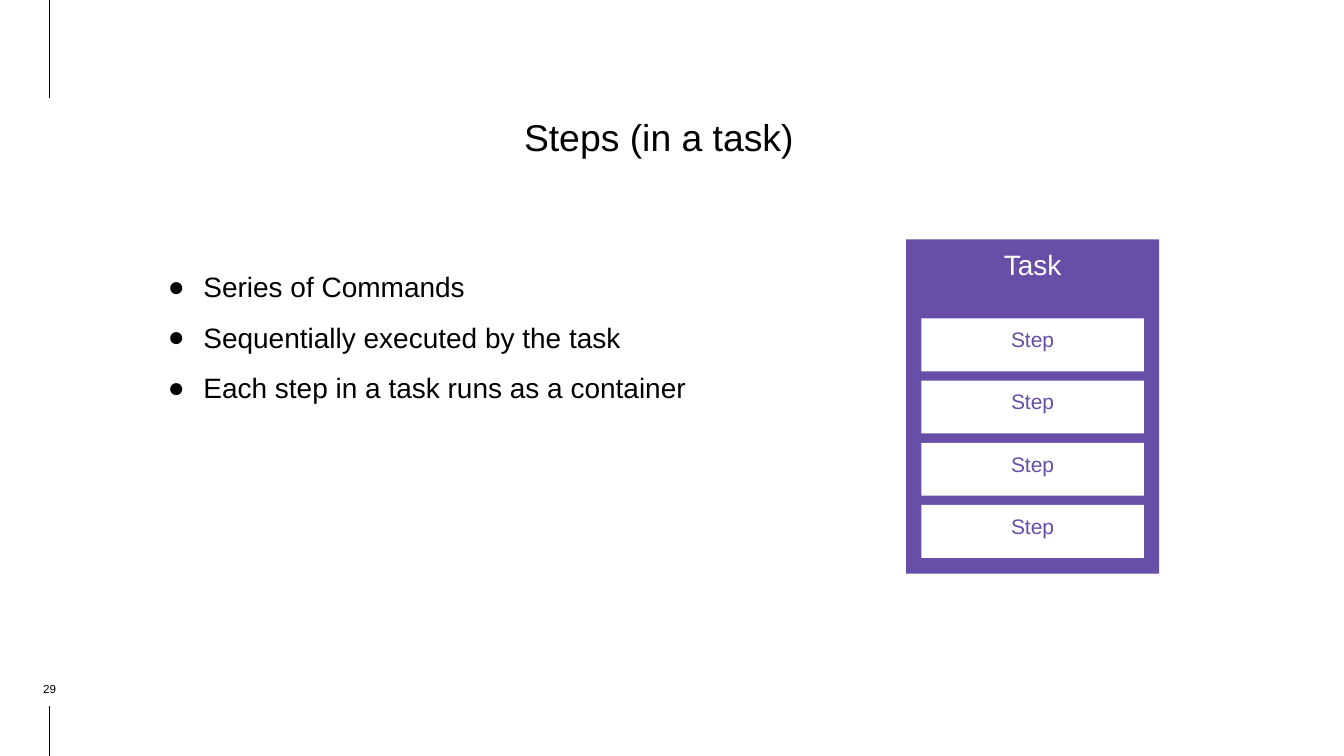
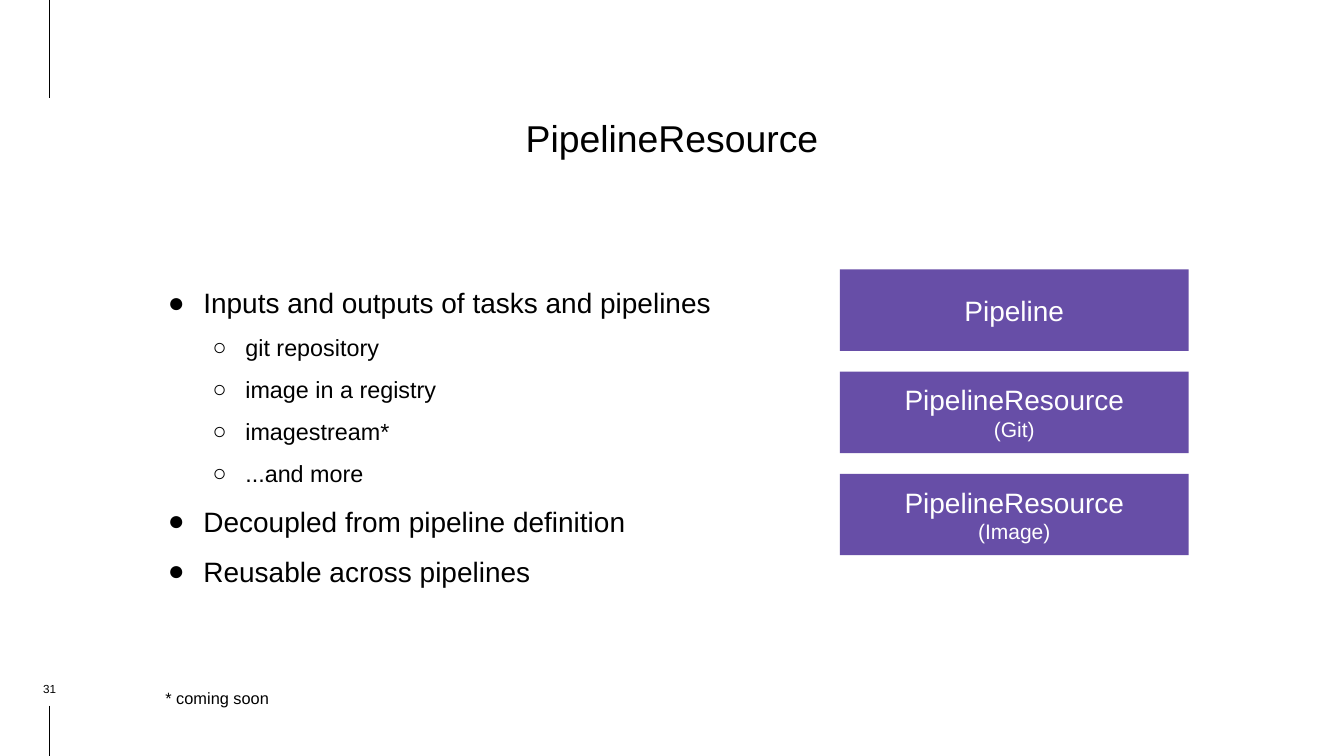
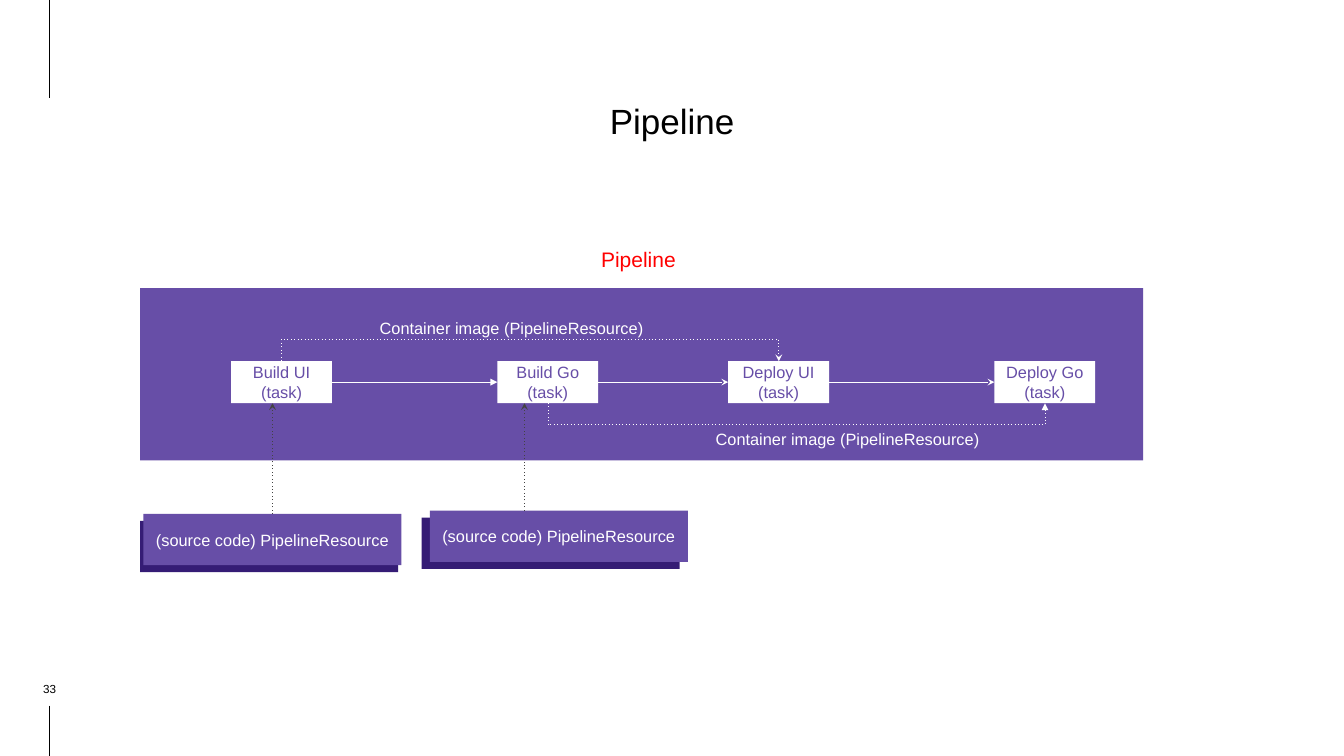
from dataclasses import dataclass

from lxml import etree
from pptx import Presentation
from pptx import util as u
from pptx.dml.color import RGBColor
from pptx.enum import shapes, text
from pptx.oxml.ns import qn

ALIGN = text.PP_ALIGN
ANCHOR = text.MSO_ANCHOR
LINK = shapes.MSO_CONNECTOR
TOP, LEFT, BOTTOM, RIGHT = range(4)


@dataclass(frozen=True)
class Theme:
    """Colours, type sizes and measures that all slides share."""

    font: str = "Arial"
    ink: str = "000000"
    paper: str = "FFFFFF"
    purple: str = "674EA7"
    deep_purple: str = "351C75"
    red: str = "FF0000"
    grey: str = "434343"
    title: int = 32
    body: int = 24
    sub_body: int = 20
    label: int = 18
    small: int = 14
    number: int = 10
    line: float = 0.75
    inset: float = 0.25


THEME = Theme()


def cm(*lengths):
    """Turn numbers into centimetre lengths."""
    return [u.Cm(length) for length in lengths]


def add_xml(parent, tag, **attributes):
    """Append a drawing element to its parent."""
    return etree.SubElement(parent, qn(tag), attributes)


def set_frame(shape, inset=THEME.inset, anchor=ANCHOR.TOP):
    """Set the wrapping, insets and anchor of a shape's text."""
    frame = shape.text_frame
    frame.word_wrap = True
    frame.auto_size = text.MSO_AUTO_SIZE.NONE
    frame.vertical_anchor = anchor
    frame.margin_left = frame.margin_top = u.Cm(inset)
    frame.margin_right = frame.margin_bottom = u.Cm(inset)


def write(shape, words, size, color=THEME.ink, align=ALIGN.LEFT, spacing=None, level=None):
    """Add one formatted paragraph, bulleted when it has a level."""
    frame = shape.text_frame
    paragraph = frame.paragraphs[0] if not frame.text else frame.add_paragraph()
    if level is not None:
        margin, hang, mark = ((1.27, 1.07, "●"), (2.54, 0.99, "○"))[level]
        properties = paragraph._p.get_or_add_pPr()
        properties.set("marL", str(u.Cm(margin)))
        properties.set("indent", str(-u.Cm(hang)))
        add_xml(add_xml(properties, "a:buClr"), "a:srgbClr", val=THEME.ink)
        add_xml(properties, "a:buFont", typeface=THEME.font)
        add_xml(properties, "a:buChar", char=mark)
        paragraph.level = level
    paragraph.alignment = align
    paragraph.space_before = u.Pt(0)
    if spacing:
        paragraph.line_spacing = spacing
    run = paragraph.add_run()
    run.text = words
    run.font.name = THEME.font
    run.font.size = u.Pt(size)
    run.font.color.rgb = RGBColor.from_string(color)


def add_text(slide, words, place, inset=THEME.inset, anchor=ANCHOR.TOP, **style):
    """Add a text box with one paragraph."""
    box = slide.shapes.add_textbox(*cm(*place))
    set_frame(box, inset, anchor)
    write(box, words, **style)


def add_box(slide, place, fill, lines=(), color=THEME.paper, anchor=ANCHOR.MIDDLE):
    """Add a plain rectangle holding centred (words, size) lines."""
    box = slide.shapes.add_shape(shapes.MSO_SHAPE.RECTANGLE, *cm(*place))
    box.shadow.inherit = False
    box.fill.solid()
    box.fill.fore_color.rgb = RGBColor.from_string(fill)
    box.line.fill.background()
    set_frame(box, anchor=anchor)
    for words, size in lines:
        write(box, words, size, color, ALIGN.CENTER)
    return box


def add_bullets(slide, place, items):
    """Add a bulleted list of (level, words) items."""
    box = slide.shapes.add_textbox(*cm(*place))
    set_frame(box, inset=0)
    for level, words in items:
        size = THEME.sub_body if level else THEME.body
        write(box, words, size, spacing=1.5, level=level)


def add_line(slide, ends=(0, 0, 0, 0), color=THEME.paper, kind=LINK.STRAIGHT, dotted=False, head=None):
    """Add a connector with an optional dotted line and arrowhead."""
    connector = slide.shapes.add_connector(kind, *cm(*ends))
    connector.line.width = u.Pt(THEME.line)
    connector.line.color.rgb = RGBColor.from_string(color)
    properties = connector.element.spPr
    outline = properties.find(qn("a:ln"))
    if dotted:
        add_xml(outline, "a:prstDash", val="dot")
    if head:
        add_xml(outline, "a:tailEnd", type=head)
    add_xml(properties, "a:effectLst")
    return connector


def join(slide, start, end, head):
    """Draw a straight arrow between the facing sides of two boxes."""
    arrow = add_line(slide, head=head)
    arrow.begin_connect(start, RIGHT)
    arrow.end_connect(end, LEFT)


def add_detour(slide, start, end, side, head, reach=0.66):
    """Draw a dotted U-shaped arrow above or below two boxes."""
    arrow = add_line(slide, kind=LINK.ELBOW, dotted=True, head=head)
    arrow.begin_connect(start, side)
    arrow.end_connect(end, side)
    span = end.left - start.left
    level = start.top + (start.height if side == BOTTOM else 0)
    thickness = 0.01
    arrow.left = start.left + (start.width + span) // 2
    arrow.top = level - span // 2
    arrow.width, arrow.height = u.Cm(thickness), span
    properties = arrow.element.spPr
    frame = properties.find(qn("a:xfrm"))
    for name, value in (("rot", "16200000"), ("flipH", "1"), ("flipV", "0")):
        frame.set(name, value)
    bend = round(reach / thickness * 100000) * (1 if side == BOTTOM else -1)
    guides = properties.find(qn("a:prstGeom")).find(qn("a:avLst"))
    add_xml(guides, "a:gd", name="adj1", fmla=f"val {bend}")


def add_edge_lines(slide, layout):
    """Draw the two edge lines and hand them to the layout."""
    for top, bottom in ((0, 2.95), (21.34, 22.86)):
        line = add_line(slide, (1.5, top, 1.5, bottom), THEME.ink)
        layout.shapes.element.append(line.element)


def new_slide(presentation, title, number, place=(8.26, 2.62, 24.13, 2.69), size=THEME.title, anchor=ANCHOR.TOP):
    """Add a slide with its title and number."""
    slide = presentation.slides.add_slide(presentation.slide_layouts[5])
    heading = slide.shapes.title
    heading.left, heading.top, heading.width, heading.height = cm(*place)
    set_frame(heading, 0, anchor)
    write(heading, title, size, align=ALIGN.CENTER, spacing=1.3)
    add_text(slide, number, (0.28, 20.57, 2.44, 0.48), 0, ANCHOR.BOTTOM, size=THEME.number, align=ALIGN.CENTER)
    return slide


def build_steps(presentation):
    """Build the slide on the steps in a task."""
    slide = new_slide(presentation, "Steps (in a task)", "29", (4.88, 3.05, 30.1, 3.12))
    add_edge_lines(slide, presentation.slide_layouts[5])
    items = ("Series of Commands", "Sequentially executed by the task", "Each step in a task runs as a container")
    add_bullets(slide, (4.88, 7.65, 18.57, 9.83), [(0, item) for item in items])
    add_box(slide, (27.4, 7.24, 7.65, 10.11), THEME.purple, [("Task", THEME.body)], anchor=ANCHOR.TOP)
    for row in range(4):
        place = (27.86, 9.63 + row * 1.88, 6.73, 1.6)
        add_box(slide, place, THEME.paper, [("Step", THEME.label)], THEME.purple, ANCHOR.TOP)


def build_resources(presentation):
    """Build the slide on pipeline resources."""
    slide = new_slide(presentation, "PipelineResource", "31", anchor=ANCHOR.MIDDLE)
    add_bullets(slide, (4.88, 8.13, 19.41, 10.29), [
        (0, "Inputs and outputs of tasks and pipelines"),
        (1, "git repository"),
        (1, "image in a registry"),
        (1, "imagestream*"),
        (1, "...and more"),
        (0, "Decoupled from pipeline definition"),
        (0, "Reusable across pipelines"),
    ])
    cards = (
        [("Pipeline", THEME.body)],
        [("PipelineResource", THEME.body), ("(Git)", THEME.label)],
        [("PipelineResource", THEME.body), ("(Image)", THEME.label)],
    )
    for row, lines in enumerate(cards):
        add_box(slide, (25.4, 8.15 + row * 3.09, 10.54, 2.46), THEME.purple, lines)
    add_text(slide, "* coming soon", (4.75, 20.57, 12.01, 1.47), size=THEME.small)


def build_pipeline(presentation):
    """Build the slide with the pipeline diagram."""
    slide = new_slide(presentation, "Pipeline", "33", size=30)
    add_box(slide, (4.24, 8.71, 30.33, 5.21), THEME.purple)
    add_text(slide, "Pipeline", (15.98, 7.21, 6.65, 1.88), size=THEME.label, color=THEME.red, align=ALIGN.CENTER)
    sources = ((4.34, 15.54, 0.1, 8.24), (13, 15.44, 0.25, 15.86))
    for left, top, offset, arrow_x in sources:
        add_box(slide, (left - offset, top + 0.21, 7.8, 1.55), THEME.deep_purple)
        lines = [("(source code) PipelineResource", THEME.small)]
        add_box(slide, (left, top, 7.8, 1.55), THEME.purple, lines)
        add_line(slide, (arrow_x, top, arrow_x, 12.19), THEME.grey, dotted=True, head="stealth")
    names = (("Build UI", 6.99), ("Build Go", 15.04), ("Deploy UI", 22.02), ("Deploy Go", 30.07))
    tasks = []
    for name, left in names:
        lines = [(name, THEME.small), ("(task)", THEME.small)]
        tasks.append(add_box(slide, (left, 10.92, 3.05, 1.27), THEME.paper, lines, THEME.purple))
    for start, end, head in zip(tasks, tasks[1:], ("triangle", "stealth", "stealth")):
        join(slide, start, end, head)
    build_ui, build_go, deploy_ui, deploy_go = tasks
    add_detour(slide, build_go, deploy_go, BOTTOM, "triangle")
    add_detour(slide, build_ui, deploy_ui, TOP, "stealth")
    for left, top in ((21.39, 12.75), (11.23, 9.37)):
        add_text(slide, "Container image (PipelineResource)", (left, top, 10.01, 0.48),
                 size=THEME.small, color=THEME.paper)


def main():
    """Build and save the presentation."""
    presentation = Presentation()
    presentation.slide_width, presentation.slide_height = cm(40.64, 22.86)
    build_steps(presentation)
    build_resources(presentation)
    build_pipeline(presentation)
    presentation.save("out.pptx")


if __name__ == "__main__":
    main()
